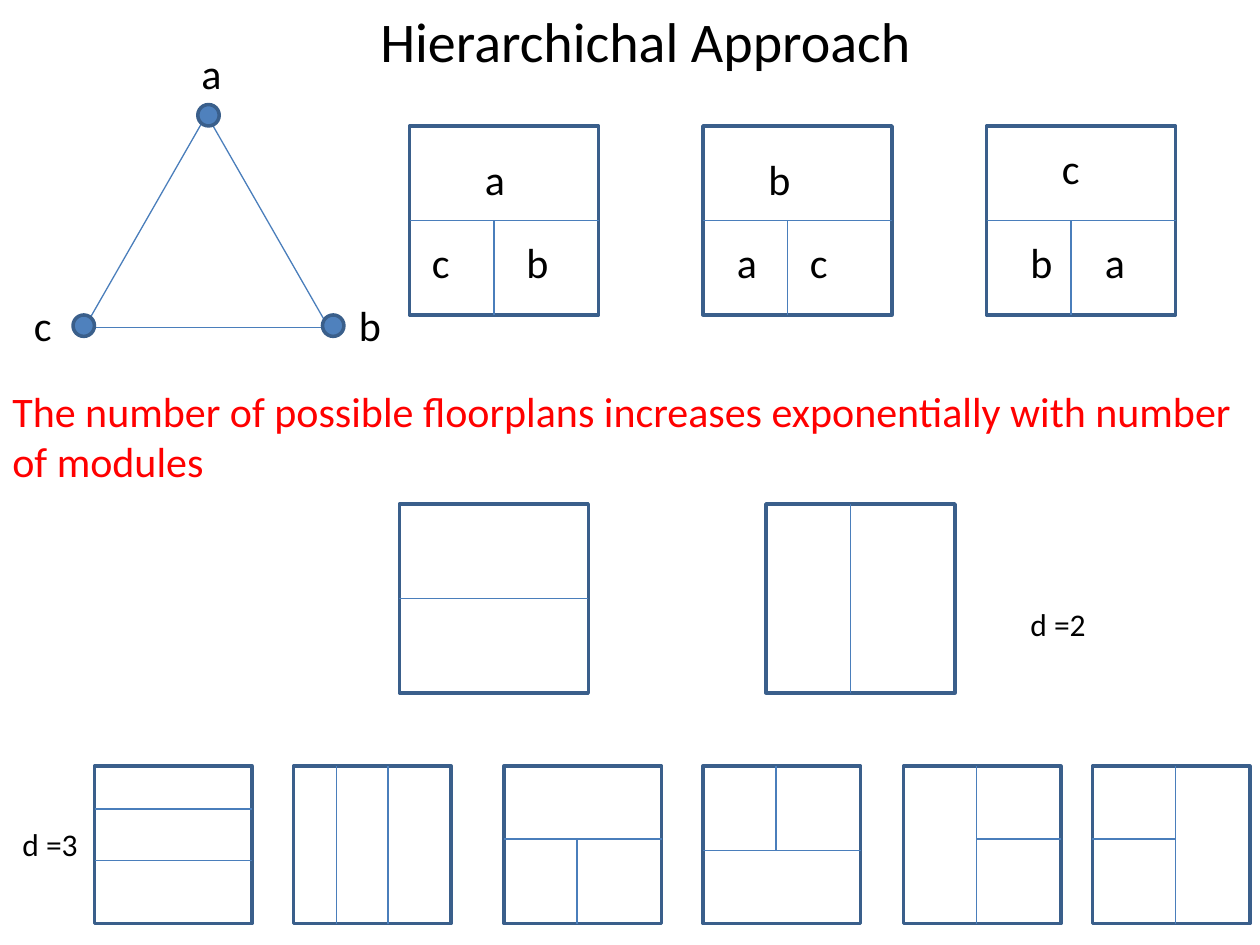
from dataclasses import dataclass

import lxml.etree
import pptx
import pptx.dml.color
import pptx.enum.shapes
import pptx.enum.text
import pptx.oxml.ns
import pptx.util
from pptx.util import Inches


@dataclass(frozen=True)
class Theme:
    font: str = "Calibri"
    text: str = "000000"
    accent: str = "FF0000"
    node: str = "4F81BD"
    outline: str = "3A5F8B"
    rule: str = "4A7EBB"
    title_size: int = 32
    body_size: int = 24
    note_size: int = 18
    outline_width: float = 2
    rule_width: float = 0.75


THEME = Theme()
SHAPE = pptx.enum.shapes.MSO_SHAPE

NODES = [(1.57, 0.83), (2.56, 2.5), (0.58, 2.5)]
EDGES = [
    (1.64, 0.91, 2.62, 2.62),
    (1.64, 0.91, 0.66, 2.62),
    (2.59, 2.6, 0.67, 2.6),
]
NODE_LABELS = [("a", 1.5, 0.33), ("b", 2.75, 2.33), ("c", 0.17, 2.33)]

BIG = 1.5
SMALL = 1.25
T_CUTS = [(0, 0.75, BIG, 0.75), (0.67, 0.75, 0.67, BIG)]

LABELLED_PLANS = [
    (3.25, [("a", 3.75, 1.17), ("c", 3.33, 1.83), ("b", 4.08, 1.83)]),
    (5.58, [("b", 6, 1.17), ("a", 5.75, 1.83), ("c", 6.33, 1.83)]),
    (7.83, [("c", 8.33, 1.08), ("b", 8.08, 1.83), ("a", 8.67, 1.83)]),
]
TWO_MODULE_PLANS = [
    (3.17, [(0, 0.75, BIG, 0.75)]),
    (6.08, [(0.67, 0, 0.67, BIG)]),
]
THREE_MODULE_PLANS = [
    (0.75, [(0, 0.34, SMALL, 0.34), (0, 0.75, SMALL, 0.75)]),
    (2.33, [(0.34, 0, 0.34, SMALL), (0.75, 0, 0.75, SMALL)]),
    (4, [(0, 0.58, SMALL, 0.58), (0.58, 0.58, 0.58, SMALL)]),
    (5.58, [(0, 0.67, SMALL, 0.67), (0.58, 0, 0.58, 0.67)]),
    (7.17, [(0.58, 0, 0.58, SMALL), (0.58, 0.58, SMALL, 0.58)]),
    (8.67, [(0.66, 0, 0.66, SMALL), (0, 0.58, 0.66, 0.58)]),
]


def rgb(value):
    return pptx.dml.color.RGBColor.from_string(value)


def set_line(line, color, width):
    line.color.rgb = rgb(color)
    line.width = pptx.util.Pt(width)


def add_rule(s, x1, y1, x2, y2):
    rule = s.shapes.add_connector(
        pptx.enum.shapes.MSO_CONNECTOR.STRAIGHT,
        Inches(x1), Inches(y1), Inches(x2), Inches(y2),
    )
    set_line(rule.line, THEME.rule, THEME.rule_width)
    lxml.etree.SubElement(rule._element.spPr, pptx.oxml.ns.qn("a:effectLst"))
    return rule


def add_outline(s, kind, left, top, size):
    sp = s.shapes.add_shape(
        kind, Inches(left), Inches(top), Inches(size), Inches(size)
    )
    sp.shadow.inherit = False
    sp.fill.background()
    set_line(sp.line, THEME.outline, THEME.outline_width)
    return sp


def add_node(s, left, top):
    sp = add_outline(s, SHAPE.OVAL, left, top, 0.17)
    sp.fill.solid()
    sp.fill.fore_color.rgb = rgb(THEME.node)


def add_floorplan(s, left, top, size, cuts):
    box = add_outline(s, SHAPE.RECTANGLE, left, top, size)
    half = size / 2
    sites = [(half, 0), (0, half), (half, size), (size, half)]
    for x1, y1, x2, y2 in cuts:
        cut = add_rule(s, left + x1, top + y1, left + x2, top + y2)
        if (x1, y1) in sites:
            cut.begin_connect(box, sites.index((x1, y1)))
        if (x2, y2) in sites:
            cut.end_connect(box, sites.index((x2, y2)))


def add_text(s, text, left, top, width, height, size, color=THEME.text):
    box = s.shapes.add_textbox(
        Inches(left), Inches(top), Inches(width), Inches(height)
    )
    tf = box.text_frame
    tf.word_wrap = True
    tf.auto_size = pptx.enum.text.MSO_AUTO_SIZE.SHAPE_TO_FIT_TEXT
    p = tf.paragraphs[0]
    p.text = text
    p.font.name = THEME.font
    p.font.size = pptx.util.Pt(size)
    p.font.color.rgb = rgb(color)


def add_labels(s, labels):
    for text, left, top in labels:
        add_text(s, text, left, top, 0.67, 0.5, THEME.body_size)


def add_graph(s):
    for edge in EDGES:
        add_rule(s, *edge)
    for node in NODES:
        add_node(s, *node)
    add_labels(s, NODE_LABELS)


def main():
    prs = pptx.Presentation()
    prs.slide_width, prs.slide_height = Inches(10), Inches(7.5)
    s = prs.slides.add_slide(prs.slide_layouts[6])

    add_text(s, "Hierarchichal Approach", 2.92, 0, 5.5, 0.63, THEME.title_size)
    add_graph(s)
    for left, labels in LABELLED_PLANS:
        add_floorplan(s, left, 1, BIG, T_CUTS)
        add_labels(s, labels)

    add_text(
        s,
        "The number of possible floorplans increases exponentially "
        "with number of modules",
        0, 3.01, 10, 0.9, THEME.body_size, THEME.accent,
    )
    for left, cuts in TWO_MODULE_PLANS:
        add_floorplan(s, left, 4, BIG, cuts)
    add_text(s, "d =2", 8.08, 4.75, 1.44, 0.4, THEME.note_size)

    for left, cuts in THREE_MODULE_PLANS:
        add_floorplan(s, left, 6.08, SMALL, cuts)
    add_text(s, "d =3", 0.08, 6.5, 0.67, 0.4, THEME.note_size)

    prs.save("out.pptx")


if __name__ == "__main__":
    main()
